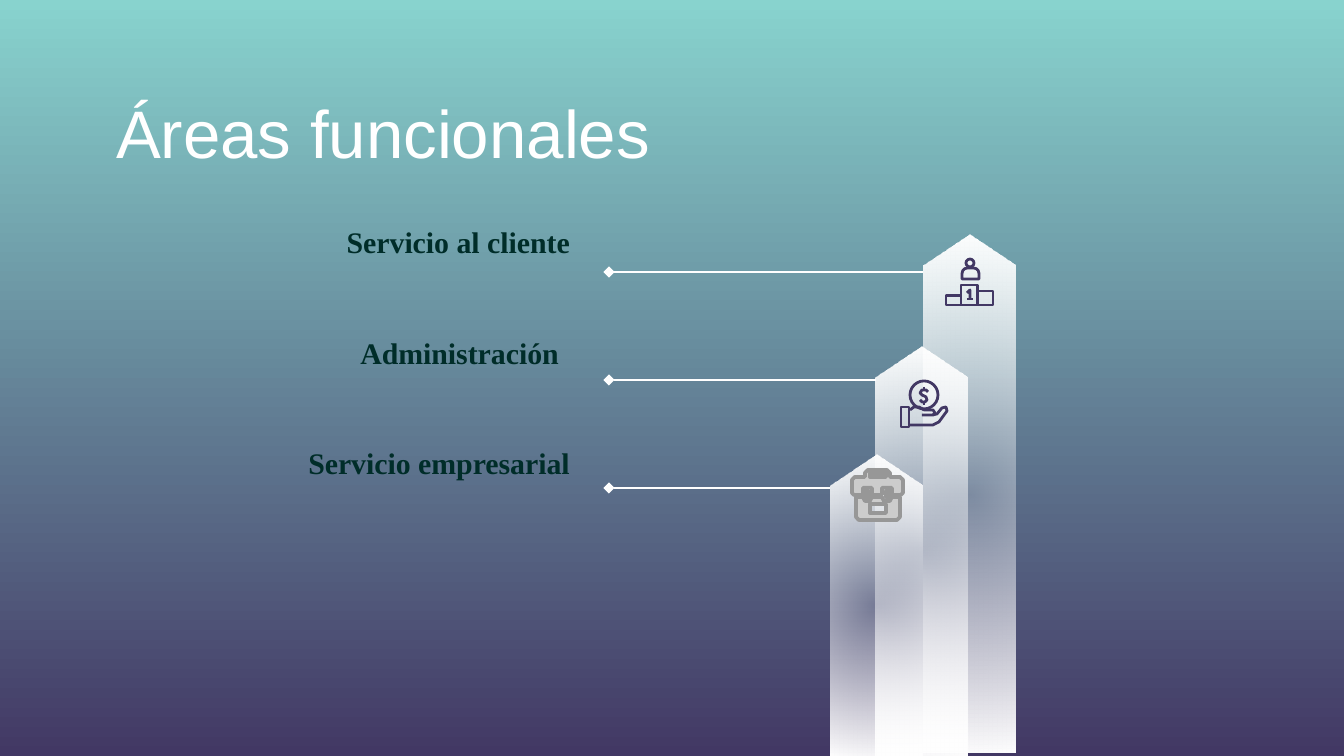
from lxml.etree import SubElement
from pptx import Presentation
from pptx.dml.color import RGBColor
from pptx.enum.shapes import MSO_CONNECTOR, MSO_SHAPE
from pptx.enum.text import MSO_ANCHOR, PP_ALIGN
from pptx.oxml.ns import qn
from pptx.util import Pt

SCALE = 914400 / 134.4
COLORS = {
    "sky": "88D3CE",
    "violet": "423864",
    "white": "FFFFFF",
    "label": "002D29",
    "case": "CCCCCC",
    "case_edge": "979797",
}
TITLE_FONT = {"name": "Arial", "size": Pt(36), "bold": False}
LABEL_FONT = {"name": "Times New Roman", "size": Pt(16), "bold": True}
INK = {"line": "violet", "width": 1.5}
CASE = {"fill": "case", "line": "case_edge", "width": 2}

LINE_LEFT, LINE_TOP, LINE_STEP = 609, 272, 108
BAR_WIDTH, SHOULDER = 92, 31
# label, label left, label top, bar left, bar tip, bar foot
AREAS = [
    ("Servicio al cliente", 238, 208, 923, 235, 753),
    ("Administración", 227, 319, 876, 347, 756),
    ("Servicio empresarial", 238, 429, 830, 455, 756),
]


def px(*values):
    return [round(value * SCALE) for value in values]


def color(name):
    return RGBColor.from_string(COLORS[name])


def paint(shape, line=None, width=1, fill=None):
    shape.shadow.inherit = False
    if fill:
        shape.fill.solid()
        shape.fill.fore_color.rgb = color(fill)
    else:
        shape.fill.background()
    if line:
        shape.line.color.rgb = color(line)
        shape.line.width = Pt(width)
    else:
        shape.line.fill.background()


def add_outline(shapes, contours, closed=True, **style):
    """Draw one freeform from lists of points."""
    builder = None
    for start, *points in contours:
        if builder is None:
            builder = shapes.build_freeform(*start, scale=SCALE)
        else:
            builder.move_to(*start)
        builder.add_line_segments(points, close=closed)
    shape = builder.convert_to_shape()
    paint(shape, **style)
    return shape


def add_preset(shapes, kind, box, **style):
    shape = shapes.add_shape(kind, *px(*box))
    paint(shape, **style)
    return shape


def rectangle(left, top, right, bottom):
    return [(left, top), (right, top), (right, bottom), (left, bottom)]


def set_gradient(fill, names):
    fill.gradient()
    for stop, name in zip(fill.gradient_stops, names):
        stop.color.rgb = color(name)


def add_text(page, text, box, top_inset, align, font, font_color):
    frame = page.shapes.add_textbox(*px(*box)).text_frame
    left, top, right, bottom = px(13, top_inset, 13, 0)
    layout = {
        "word_wrap": True,
        "vertical_anchor": MSO_ANCHOR.TOP,
        "margin_left": left,
        "margin_top": top,
        "margin_right": right,
        "margin_bottom": bottom,
    }
    for key, value in layout.items():
        setattr(frame, key, value)
    para = frame.paragraphs[0]
    para.alignment = align
    span = para.add_run()
    span.text = text
    for key, value in font.items():
        setattr(span.font, key, value)
    span.font.color.rgb = color(font_color)


def add_bar(page, left, tip, foot):
    """Draw a pointed bar with a glow that is clear in the middle."""
    right, middle, shoulder = left + BAR_WIDTH, left + BAR_WIDTH / 2, tip + SHOULDER
    points = [(middle, tip), (left, shoulder), (left, foot), (right, foot), (right, shoulder)]
    bar = add_outline(page.shapes, [points])
    set_gradient(bar.fill, ["white", "white"])
    gradient = bar._element.spPr.find(qn("a:gradFill"))
    SubElement(next(gradient.iter(qn("a:srgbClr"))), qn("a:alpha"), val="21000")
    gradient.remove(gradient.find(qn("a:lin")))
    circle = SubElement(gradient, qn("a:path"), path="circle")
    SubElement(circle, qn("a:fillToRect"), l="50000", t="50000", r="50000", b="50000")


def add_pointer(page, bar_left, top):
    ends = px(bar_left, top, LINE_LEFT, top)
    pointer = page.shapes.add_connector(MSO_CONNECTOR.STRAIGHT, *ends)
    pointer.line.color.rgb = color("white")
    pointer.line.width = Pt(1.5)
    SubElement(pointer.line._get_or_add_ln(), qn("a:tailEnd"), type="diamond")
    SubElement(pointer._element.spPr, qn("a:effectLst"))


def add_podium(page):
    shapes = page.shapes.add_group_shape().shapes
    steps = [(946, 296, 961, 305), (961, 285, 978, 305), (978, 291, 993, 305)]
    add_outline(shapes, [rectangle(*step) for step in steps], **INK)
    add_preset(shapes, MSO_SHAPE.OVAL, (966, 259, 8, 8), **INK)
    body = add_preset(shapes, MSO_SHAPE.ROUND_2_SAME_RECTANGLE, (962, 268, 17, 11), **INK)
    body.adjustments[0] = 0.5
    digit = [[(967, 293), (970, 290), (970, 299)], [(967, 299), (973, 299)]]
    add_outline(shapes, digit, closed=False, **INK)


def add_hand_with_coin(page):
    shapes = page.shapes.add_group_shape().shapes
    add_preset(shapes, MSO_SHAPE.OVAL, (910, 381, 28, 28), **INK)
    dollar = [
        [(928, 392), (926, 390), (922, 390), (920, 393), (922, 395),
         (926, 397), (927, 400), (925, 402), (922, 402), (920, 400)],
        [(924, 387), (924, 390)],
        [(924, 402), (924, 405)],
    ]
    add_outline(shapes, dollar, closed=False, **INK)
    add_outline(shapes, [rectangle(901, 407, 909, 427)], **INK)
    hand = [
        [(910, 410), (914, 407), (919, 407), (924, 410), (933, 410),
         (935, 413), (933, 415), (922, 415)],
        [(933, 415), (937, 414), (942, 408), (946, 407), (947, 411),
         (939, 422), (933, 425), (910, 425)],
    ]
    add_outline(shapes, hand, closed=False, **INK)


def add_briefcase(page):
    shapes = page.shapes.add_group_shape().shapes
    for left in (886, 865):
        add_outline(shapes, [rectangle(left, 491, left + 4, 497)], **CASE)
    base = [
        (856, 497), (856, 517), (859, 520), (897, 520), (900, 517), (900, 497),
        (892, 497), (890, 501), (884, 501), (882, 497),
        (872, 497), (870, 501), (865, 501), (863, 497),
    ]
    add_outline(shapes, [base, rectangle(870, 504, 886, 513)], **CASE)
    lid = [
        (868, 470), (865, 473), (865, 477), (855, 477), (852, 480), (852, 493),
        (854, 495), (863, 495), (863, 488), (872, 488), (872, 495),
        (882, 495), (882, 488), (892, 488), (892, 495), (901, 495),
        (903, 493), (903, 480), (900, 477), (890, 477), (890, 473), (887, 470),
    ]
    add_outline(shapes, [lid, rectangle(870, 473, 886, 477)], **CASE)


def main():
    deck = Presentation()
    deck.slide_width, deck.slide_height = px(1344, 756)
    page = deck.slides.add_slide(deck.slide_layouts[6])
    backdrop = page.background.fill
    set_gradient(backdrop, ["sky", "violet"])
    backdrop.gradient_angle = 270

    add_text(page, "Áreas funcionales", (103, 71, 1234, 98), 20,
             PP_ALIGN.LEFT, TITLE_FONT, "white")
    for _, _, _, left, tip, foot in AREAS:
        add_bar(page, left, tip, foot)
    for row, (label, label_left, label_top, bar_left, _, _) in enumerate(AREAS):
        add_pointer(page, bar_left, LINE_TOP + row * LINE_STEP)
        add_text(page, label, (label_left, label_top, 345, 75), 16,
                 PP_ALIGN.RIGHT, LABEL_FONT, "label")
    add_hand_with_coin(page)
    add_podium(page)
    add_briefcase(page)
    deck.save("out.pptx")


if __name__ == "__main__":
    main()
